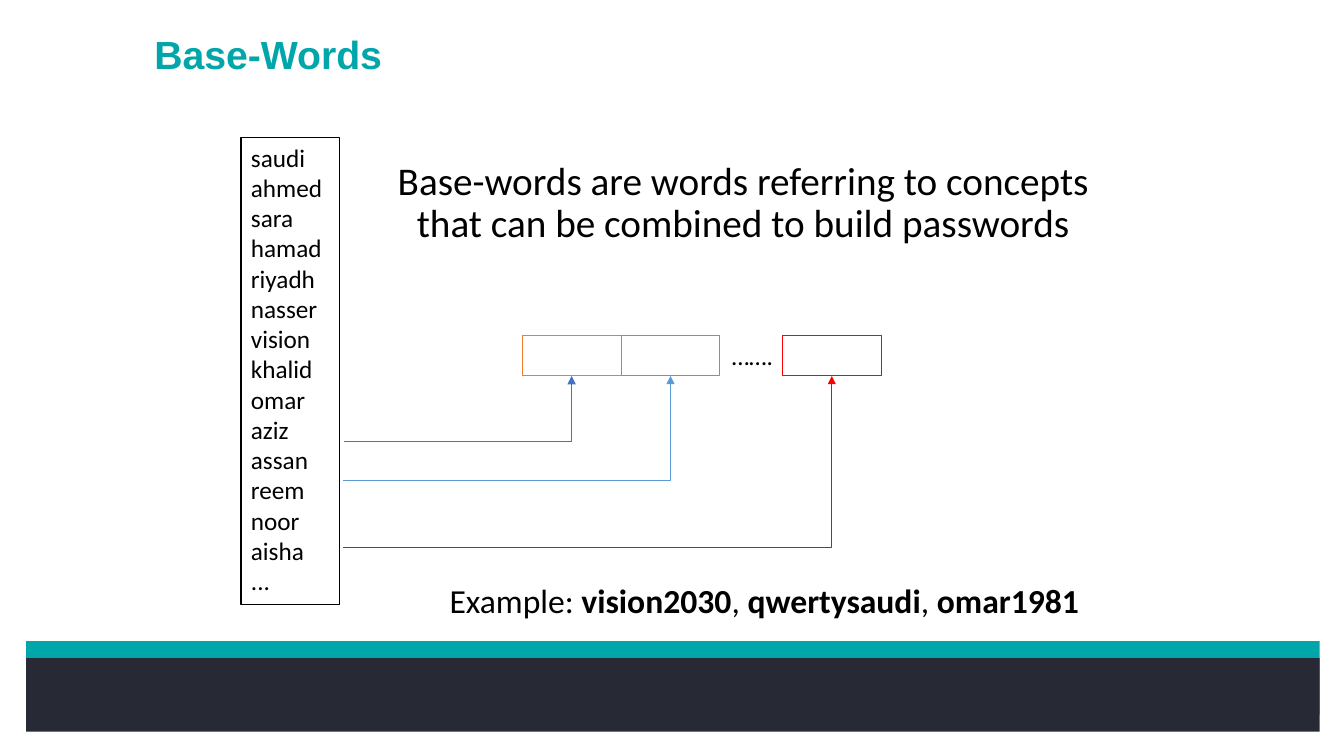
from pptx import Presentation
from pptx import util as u
from pptx.dml.color import RGBColor
from pptx.enum import shapes, text
from pptx.oxml.ns import qn
from lxml import etree

TEAL, NAVY, BLACK = "00A6AA", "272935", "000000"
SLOT_WIDTH, SLOT_HEIGHT, SLOT_TOP = 0.98, 0.4, 3.33

presentation = Presentation()
presentation.slide_width, presentation.slide_height = u.Inches(13.33), u.Inches(7.5)
slide = presentation.slides.add_slide(presentation.slide_layouts[5])


def add_rectangle(left, top, width, height, fill=None, line=None):
    shape = slide.shapes.add_shape(
        shapes.MSO_SHAPE.RECTANGLE, *map(u.Inches, (left, top, width, height)))
    shape.shadow.inherit = False
    for part, color in ((shape.fill, fill), (shape.line.fill, line)):
        if color:
            part.solid()
            part.fore_color.rgb = RGBColor.from_string(color)
        else:
            part.background()
    if line:
        shape.line.width = u.Pt(0.75)
    return shape


def write(shape, paragraphs, size=18, font="Calibri", color=BLACK,
          align=text.PP_ALIGN.LEFT, spacing=None):
    """Fill a shape with paragraphs, each a list of (text, bold) runs; "\\n" breaks a line."""
    frame = shape.text_frame
    frame.word_wrap = True
    frame.auto_size = text.MSO_AUTO_SIZE.NONE
    frame.vertical_anchor = text.MSO_ANCHOR.TOP
    for index, runs in enumerate(paragraphs):
        paragraph = frame.add_paragraph() if index else frame.paragraphs[0]
        paragraph.alignment = align
        paragraph.space_before = u.Pt(0)
        paragraph.line_spacing = spacing
        for content, bold in runs:
            for row, line in enumerate(content.split("\n")):
                if row:
                    paragraph.add_line_break()
                run = paragraph.add_run()
                run.text = line
                run.font.size, run.font.name, run.font.bold = u.Pt(size), font, bold
                run.font.color.rgb = RGBColor.from_string(color)


# Footer bands
for top, color in ((6.36, TEAL), (6.53, NAVY)):
    add_rectangle(0.26, top, 12.83, 0.73, fill=color)

# Title
title = slide.shapes.title
title.left, title.top, title.width, title.height = map(u.Inches, (1.43, 0.3, 10.69, 0.61))
write(title, [[("Base-Words", True)]], size=28, font="Arial", color=TEAL, spacing=0.9)

# Definition
definition = slide.shapes.add_textbox(*map(u.Inches, (1.87, 1.55, 11, 4.4)))
write(definition, [[("Base-words are words referring to concepts\n"
                     "that can be combined to build passwords", False)]],
      size=28, align=text.PP_ALIGN.CENTER, spacing=0.9)

# Word list
words = ("saudi ahmed sara hamad riyadh nasser vision khalid "
         "omar aziz assan reem noor aisha ...").split()
word_list = add_rectangle(2.39, 1.36, SLOT_WIDTH, 4.64, line=BLACK)
write(word_list, [[(word, False)] for word in words])

# Password slots, each fed by an arrow from the word list
for left, slot_color, arrow_color, arrow_left, arrow_top in (
        (5.18, "ED7D31", "4472C4", 3.41, 4.38),
        (5.18 + SLOT_WIDTH, "5B9BD5", "5B9BD5", 3.4, 4.77),
        (7.76, "FF0000", "FF0000", 3.4, 5.43)):
    slot = add_rectangle(left, SLOT_TOP, SLOT_WIDTH, SLOT_HEIGHT, line=slot_color)
    arrow = slide.shapes.add_connector(
        shapes.MSO_CONNECTOR.ELBOW, *map(u.Inches, (
            arrow_left, arrow_top, left + SLOT_WIDTH / 2, SLOT_TOP + SLOT_HEIGHT)))
    arrow.end_connect(slot, 2)
    arrow.line.width = u.Pt(0.5)
    arrow.line.color.rgb = RGBColor.from_string(arrow_color)
    properties = arrow._element.spPr
    properties.find(qn("a:prstGeom")).set("prst", "bentConnector2")
    etree.SubElement(properties.find(qn("a:ln")), qn("a:tailEnd"), type="triangle")
    etree.SubElement(properties, qn("a:effectLst"))

dots = slide.shapes.add_textbox(*map(u.Inches, (7.16, SLOT_TOP, 0.74, SLOT_HEIGHT)))
write(dots, [[("…….", False)]])

# Examples
example = slide.shapes.add_textbox(*map(u.Inches, (4.36, 5.7, 7.09, 0.5)))
write(example, [[("Example: ", False), ("vision2030", True), (", ", False),
                 ("qwertysaudi", True), (", ", False), ("omar1981", True)]], size=24)

presentation.save("out.pptx")
